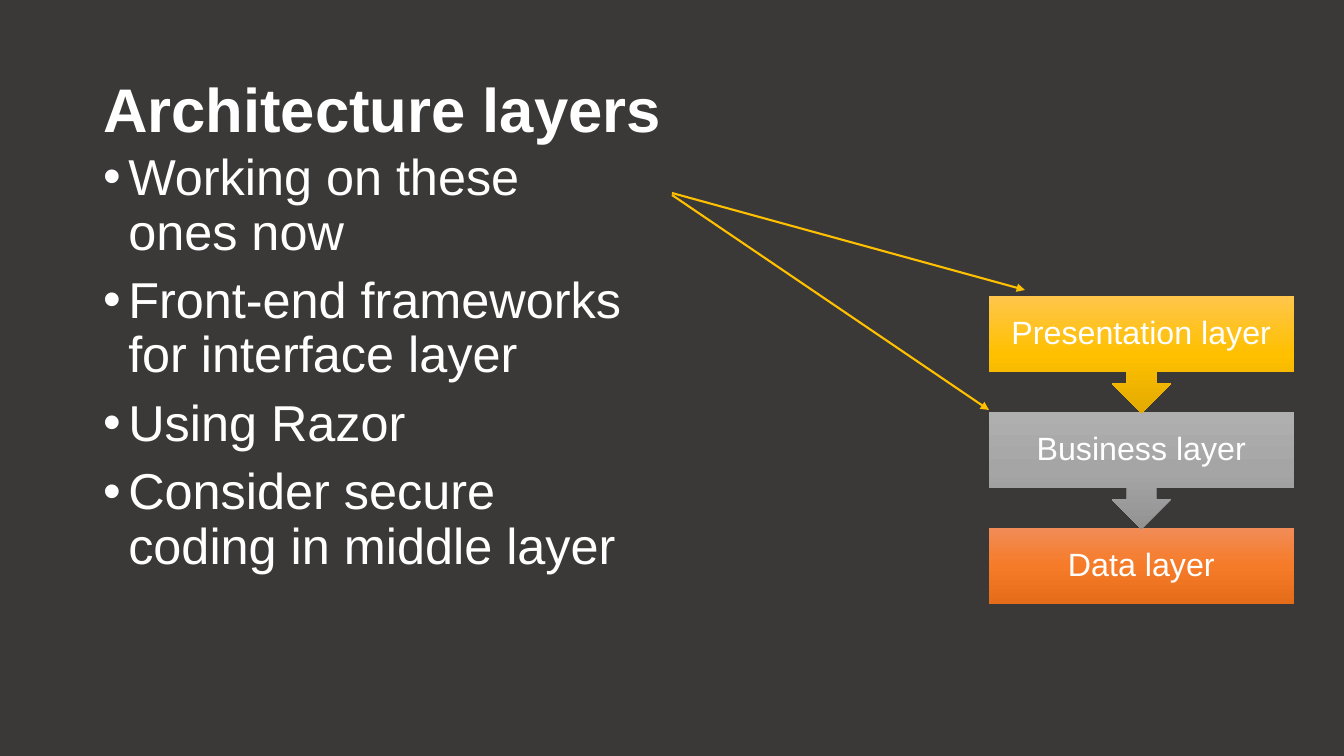
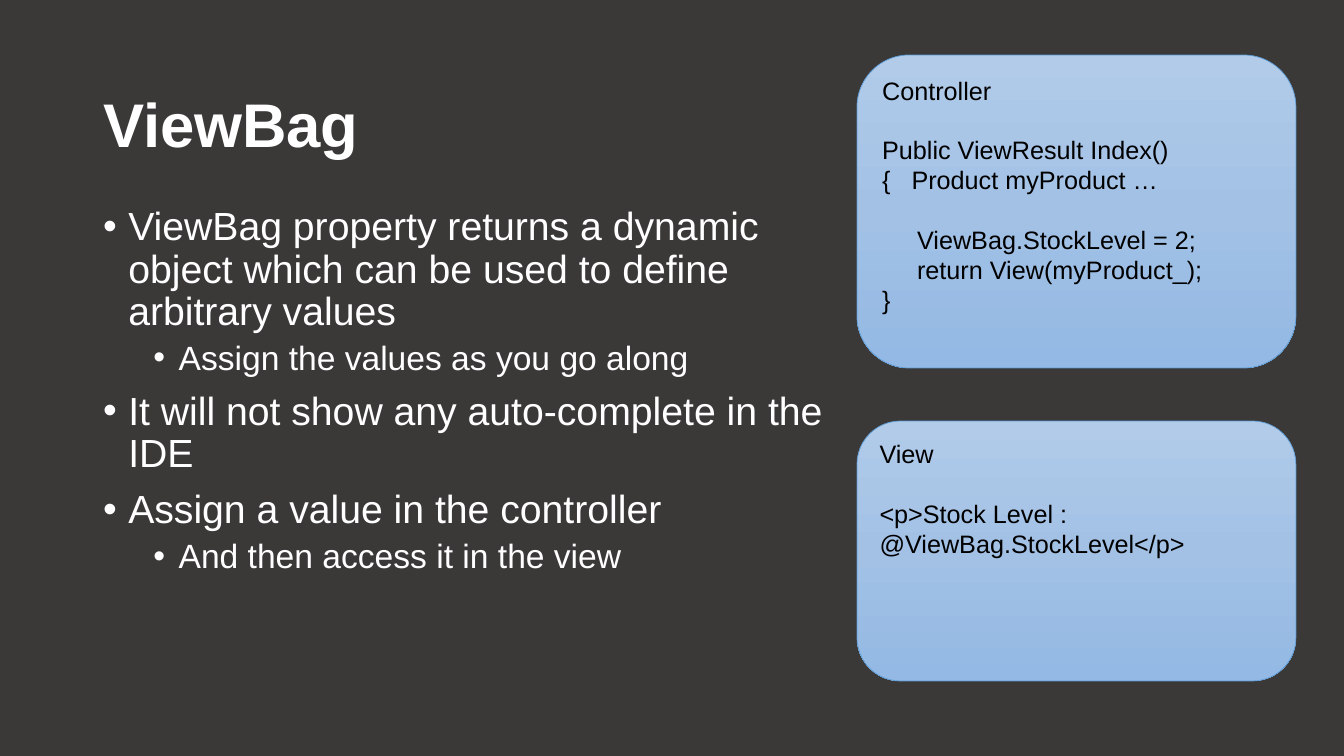
from dataclasses import dataclass

from lxml import etree
from pptx import Presentation
from pptx import util as u
from pptx.dml.color import RGBColor
from pptx.enum import shapes, text
from pptx.oxml.ns import qn


@dataclass(frozen=True)
class Theme:
    font: str = "Arial"
    background: str = "3B3838"
    light: str = "FFFFFF"
    dark: str = "000000"
    arrow: str = "FFC000"
    card_line: str = "5B9BD5"
    gold: tuple = ("FFC64B", "FFC000", "E3AB00")
    grey: tuple = ("AFAFAF", "A5A5A5", "939393")
    orange: tuple = ("F18C57", "F67B28", "E56C19")
    card: tuple = ("B1CBE9", "A3C1E5", "93B9E4")
    title_size: int = 44
    layer_size: int = 23
    code_size: int = 18
    code_gap: float = 20.7
    line_spacing: float = 0.9


THEME = Theme()
SLIDE_W, SLIDE_H = 1344, 756
SCALE = 12192000 / SLIDE_W

# Content: boxes are left, top, width, height in px; bullets are (level, text)
ARCHITECTURE = {
    "title": "Architecture layers",
    "title_top": 40,
    "body_box": (93, 147, 544, 480),
    "sizes": (36,),
    "bullets": [
        (0, "Working on these ones now"),
        (0, "Front-end frameworks for interface layer"),
        (0, "Using Razor"),
        (0, "Consider secure coding in middle layer"),
    ],
}
LAYERS = [
    ("Presentation layer", THEME.gold),
    ("Business layer", THEME.grey),
    ("Data layer", THEME.orange),
]
LAYER_LEFT, LAYER_TOP, LAYER_W, LAYER_H = 989, 296, 305, 76
LAYER_STEP, CALLOUT_H = 116, 117
POINTERS = [((672, 193), (1025, 290)), ((672, 195), (989, 410))]

VIEWBAG = {
    "title": "ViewBag",
    "title_top": 55,
    "body_box": (93, 202, 764, 480),
    "sizes": (28, 24),
    "bullets": [
        (0, "ViewBag property returns a dynamic object which can be used "
            "to define arbitrary values"),
        (1, "Assign the values as you go along"),
        (0, "It will not show any auto-complete in the IDE"),
        (0, "Assign a value in the controller"),
        (1, "And then access it in the view"),
    ],
}
# Each code card holds blocks of lines, one line apart
CODE_CARDS = [
    ((857, 55, 439, 313), [
        ["Controller"],
        ["Public ViewResult Index()", "{   Product myProduct …"],
        ["     ViewBag.StockLevel = 2;", "     return View(myProduct_);", "}"],
    ]),
    ((857, 421, 439, 260), [
        ["View"],
        ["<p>Stock Level : @ViewBag.StockLevel</p>"],
    ]),
]


def px(length):
    return u.Emu(round(length * SCALE))


def rgb(colour):
    return RGBColor.from_string(colour)


def style(paragraph, size, colour, bold=False):
    for run in paragraph.runs:
        font = run.font
        font.name, font.size, font.bold = THEME.font, u.Pt(size), bold
        font.color.rgb = rgb(colour)


def place(shape, box):
    shape.left, shape.top, shape.width, shape.height = map(px, box)


def add_bullet(paragraph, level):
    props = paragraph._p.get_or_add_pPr()
    props.set("marL", str(u.Inches(0.25 + 0.5 * level)))
    props.set("indent", str(u.Inches(-0.25)))
    bullet_font = etree.SubElement(props, qn("a:buFont"))
    bullet_font.set("typeface", THEME.font)
    etree.SubElement(props, qn("a:buChar")).set("char", "•")


def add_content_slide(prs, content):
    slide = prs.slides.add_slide(prs.slide_layouts[1])

    # Title
    title = slide.shapes.title
    place(title, (93, content["title_top"], 1159, 146))
    title.text_frame.text = content["title"]
    title.text_frame.vertical_anchor = text.MSO_ANCHOR.MIDDLE
    title.text_frame.auto_size = text.MSO_AUTO_SIZE.NONE
    heading = title.text_frame.paragraphs[0]
    heading.alignment = text.PP_ALIGN.LEFT
    heading.line_spacing = THEME.line_spacing
    style(heading, THEME.title_size, THEME.light, bold=True)

    # Bullet list
    body = slide.placeholders[1]
    place(body, content["body_box"])
    frame = body.text_frame
    frame.auto_size = text.MSO_AUTO_SIZE.NONE
    for i, (level, wording) in enumerate(content["bullets"]):
        item = frame.add_paragraph() if i else frame.paragraphs[0]
        item.text = wording
        item.level = level
        add_bullet(item, level)
        item.line_spacing = THEME.line_spacing
        item.space_before = u.Pt((10, 5)[level] if i else 0)
        style(item, content["sizes"][level], THEME.light)
    return slide


def add_gradient_shape(slide, kind, box, colours):
    shape = slide.shapes.add_shape(kind, *map(px, box))
    shape.shadow.inherit = False
    shape.fill.gradient()
    shape.fill.gradient_angle = 270
    stops = shape._element.spPr.find(qn("a:gradFill")).find(qn("a:gsLst"))
    for old_stop in list(stops):
        stops.remove(old_stop)
    for i, colour in enumerate(colours):
        stop = etree.SubElement(stops, qn("a:gs"))
        stop.set("pos", str(i * 50000))
        etree.SubElement(stop, qn("a:srgbClr")).set("val", colour)
    return shape


def add_layer(slide, index):
    name, colours = LAYERS[index]
    last = index == len(LAYERS) - 1
    kind = (shapes.MSO_SHAPE.RECTANGLE if last
            else shapes.MSO_SHAPE.DOWN_ARROW_CALLOUT)
    box = (LAYER_LEFT, LAYER_TOP + index * LAYER_STEP, LAYER_W,
           LAYER_H if last else CALLOUT_H)
    layer = add_gradient_shape(slide, kind, box, colours)
    layer.line.fill.background()
    frame = layer.text_frame
    frame.text = name
    frame.word_wrap = True
    frame.vertical_anchor = text.MSO_ANCHOR.MIDDLE
    label = frame.paragraphs[0]
    label.alignment = text.PP_ALIGN.CENTER
    label.line_spacing = THEME.line_spacing
    style(label, THEME.layer_size, THEME.light)


def add_pointer(slide, start, end):
    pointer = slide.shapes.add_connector(
        shapes.MSO_CONNECTOR.STRAIGHT, *map(px, start + end))
    pointer.line.color.rgb = rgb(THEME.arrow)
    pointer.line.width = u.Pt(1.5)
    line = pointer.line._get_or_add_ln()
    etree.SubElement(line, qn("a:tailEnd")).set("type", "triangle")
    etree.SubElement(pointer._element.spPr, qn("a:effectLst"))


def add_code_card(slide, box, blocks):
    card = add_gradient_shape(
        slide, shapes.MSO_SHAPE.ROUNDED_RECTANGLE, box, THEME.card)
    card.line.color.rgb = rgb(THEME.card_line)
    card.line.width = u.Pt(0.5)
    frame = card.text_frame
    frame.word_wrap = True
    frame.vertical_anchor = text.MSO_ANCHOR.TOP
    for b, block in enumerate(blocks):
        for n, wording in enumerate(block):
            line = frame.add_paragraph() if b or n else frame.paragraphs[0]
            line.text = wording
            line.alignment = text.PP_ALIGN.LEFT
            if b and n == 0:
                line.space_before = u.Pt(THEME.code_gap)
            style(line, THEME.code_size, THEME.dark)


def main():
    prs = Presentation()
    prs.slide_width, prs.slide_height = px(SLIDE_W), px(SLIDE_H)
    backdrop = prs.slide_master.background.fill
    backdrop.solid()
    backdrop.fore_color.rgb = rgb(THEME.background)

    # Architecture layers: stacked from the bottom so arrow tips stay on top
    architecture = add_content_slide(prs, ARCHITECTURE)
    for index in reversed(range(len(LAYERS))):
        add_layer(architecture, index)
    for start, end in POINTERS:
        add_pointer(architecture, start, end)

    # ViewBag: controller and view code
    viewbag = add_content_slide(prs, VIEWBAG)
    for box, blocks in CODE_CARDS:
        add_code_card(viewbag, box, blocks)

    prs.save("out.pptx")


if __name__ == "__main__":
    main()
